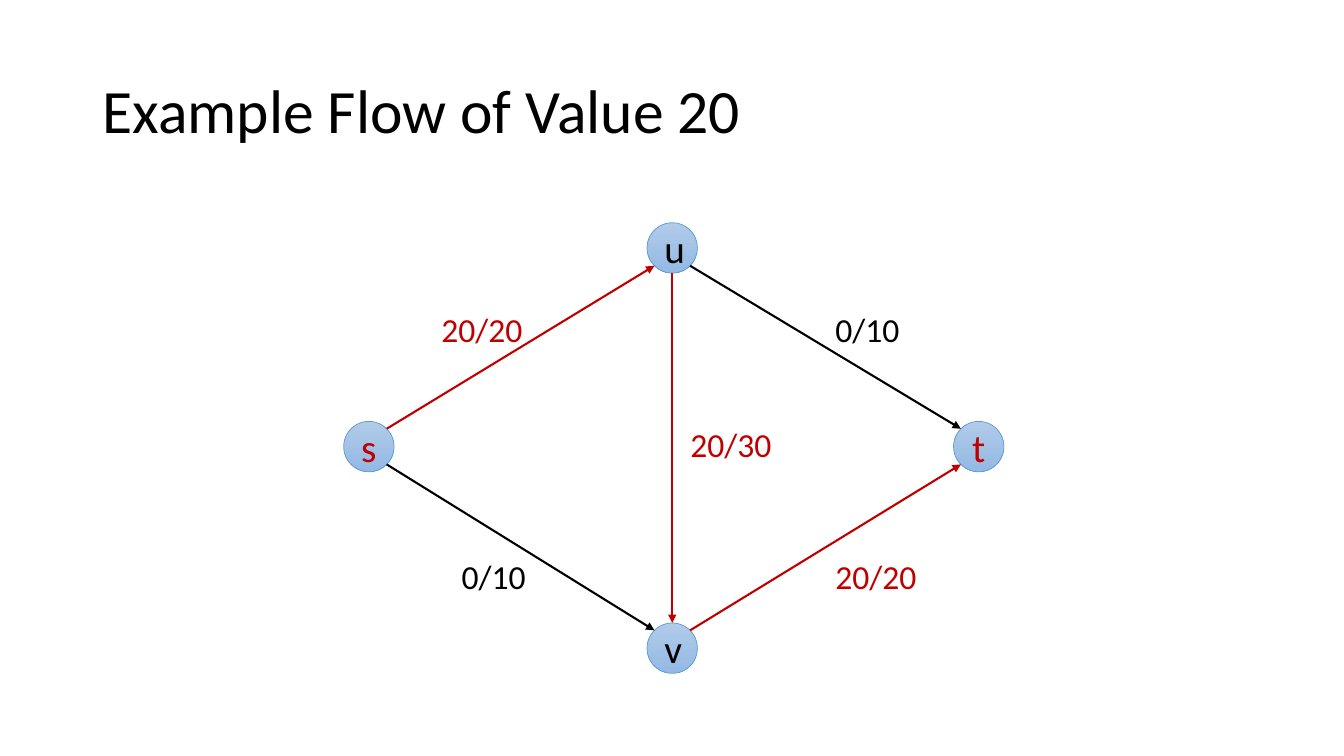
"""Build a slide showing a flow of value 20 through a four-node network."""
from math import copysign, sqrt

from lxml import etree
from pptx import Presentation
from pptx.dml.color import RGBColor
from pptx.enum.shapes import MSO_CONNECTOR, MSO_SHAPE
from pptx.enum.text import MSO_ANCHOR, MSO_AUTO_SIZE, PP_ALIGN
from pptx.oxml.ns import qn
from pptx.util import Pt

STRAIGHT = MSO_CONNECTOR.STRAIGHT
NODE_CIRCLE = MSO_SHAPE.FLOWCHART_CONNECTOR
MIDDLE = MSO_ANCHOR.MIDDLE
GROW = MSO_AUTO_SIZE.SHAPE_TO_FIT_TEXT
CENTER = PP_ALIGN.CENTER

BLACK = RGBColor(0x00, 0x00, 0x00)
FLOW_RED = RGBColor(0xC0, 0x00, 0x00)
NODE_TOP = RGBColor(0xB1, 0xCB, 0xE9)
NODE_BOTTOM = RGBColor(0x93, 0xB9, 0xE4)
NODE_RIM = RGBColor(0x5B, 0x9B, 0xD5)

RADIUS = 18
NODES = {
    "t": (699.1, 319, FLOW_RED),
    "s": (263.5, 319, FLOW_RED),
    "v": (480.2, 463, BLACK),
    "u": (480.2, 177.1, BLACK),
}
EDGES = [
    ("s", "u", FLOW_RED),
    ("u", "t", BLACK),
    ("s", "v", BLACK),
    ("v", "t", FLOW_RED),
    ("u", "v", FLOW_RED),
]
FLOWS = [
    ("20/30", 486, 299.5, 72.7, FLOW_RED),
    ("20/20", 308.2, 217.4, 72.7, FLOW_RED),
    ("20/20", 589.7, 393.8, 72.7, FLOW_RED),
    ("0/10", 322.6, 393.8, 60.5, BLACK),
    ("0/10", 589.7, 217.4, 60.5, BLACK),
]


def write(frame, words, size, color):
    """Put one styled paragraph into a text frame and return it."""
    paragraph = frame.paragraphs[0]
    paragraph.text = words
    paragraph.font.name = "Calibri"
    paragraph.font.size = Pt(size)
    paragraph.font.color.rgb = color
    return paragraph


def add_title(slide, words):
    """Add the slide heading."""
    heading = slide.shapes.add_textbox(Pt(66.2), Pt(28.8), Pt(828), Pt(104.4))
    frame = heading.text_frame
    frame.word_wrap = True
    frame.vertical_anchor = MIDDLE
    write(frame, words, 44, BLACK).line_spacing = 0.9


def add_node(slide, name, x, y, color):
    """Add a network node centred on a point."""
    node = slide.shapes.add_shape(
        NODE_CIRCLE, Pt(x - RADIUS), Pt(y - RADIUS), Pt(2 * RADIUS), Pt(2 * RADIUS))
    node.shadow.inherit = False
    node.fill.gradient()
    node.fill.gradient_angle = 270
    for stop, shade in zip(node.fill.gradient_stops, (NODE_TOP, NODE_BOTTOM)):
        stop.color.rgb = shade
    node.line.color.rgb = NODE_RIM
    node.line.width = Pt(0.5)
    node.text_frame.vertical_anchor = MIDDLE
    write(node.text_frame, name, 28, color).alignment = CENTER


def add_edge(slide, source, target, color):
    """Add an arrow between the facing rims of two nodes."""
    x1, y1, _ = NODES[source]
    x2, y2, _ = NODES[target]
    if x1 == x2:
        dx, dy = 0, copysign(RADIUS, y2 - y1)
    else:
        reach = RADIUS / sqrt(2)
        dx, dy = copysign(reach, x2 - x1), copysign(reach, y2 - y1)
    edge = slide.shapes.add_connector(
        STRAIGHT, Pt(x1 + dx), Pt(y1 + dy), Pt(x2 - dx), Pt(y2 - dy))
    edge.line.color.rgb = color
    edge.line.width = Pt(1.5)
    etree.SubElement(edge.line._get_or_add_ln(), qn("a:tailEnd"), type="triangle")
    etree.SubElement(edge._element.spPr, qn("a:effectLst"))


def add_flow(slide, words, left, top, width, color):
    """Add a flow/capacity label."""
    label = slide.shapes.add_textbox(Pt(left), Pt(top), Pt(width), Pt(36))
    label.text_frame.word_wrap = False
    label.text_frame.auto_size = GROW
    write(label.text_frame, words, 24, color)


def main():
    """Build and save the slide."""
    deck = Presentation()
    deck.slide_width, deck.slide_height = Pt(960), Pt(540)
    slide = deck.slides.add_slide(deck.slide_layouts[6])
    add_title(slide, "Example Flow of Value 20")
    for name, (x, y, color) in NODES.items():
        add_node(slide, name, x, y, color)
    for edge in EDGES:
        add_edge(slide, *edge)
    for flow in FLOWS:
        add_flow(slide, *flow)
    deck.save("out.pptx")


if __name__ == "__main__":
    main()
